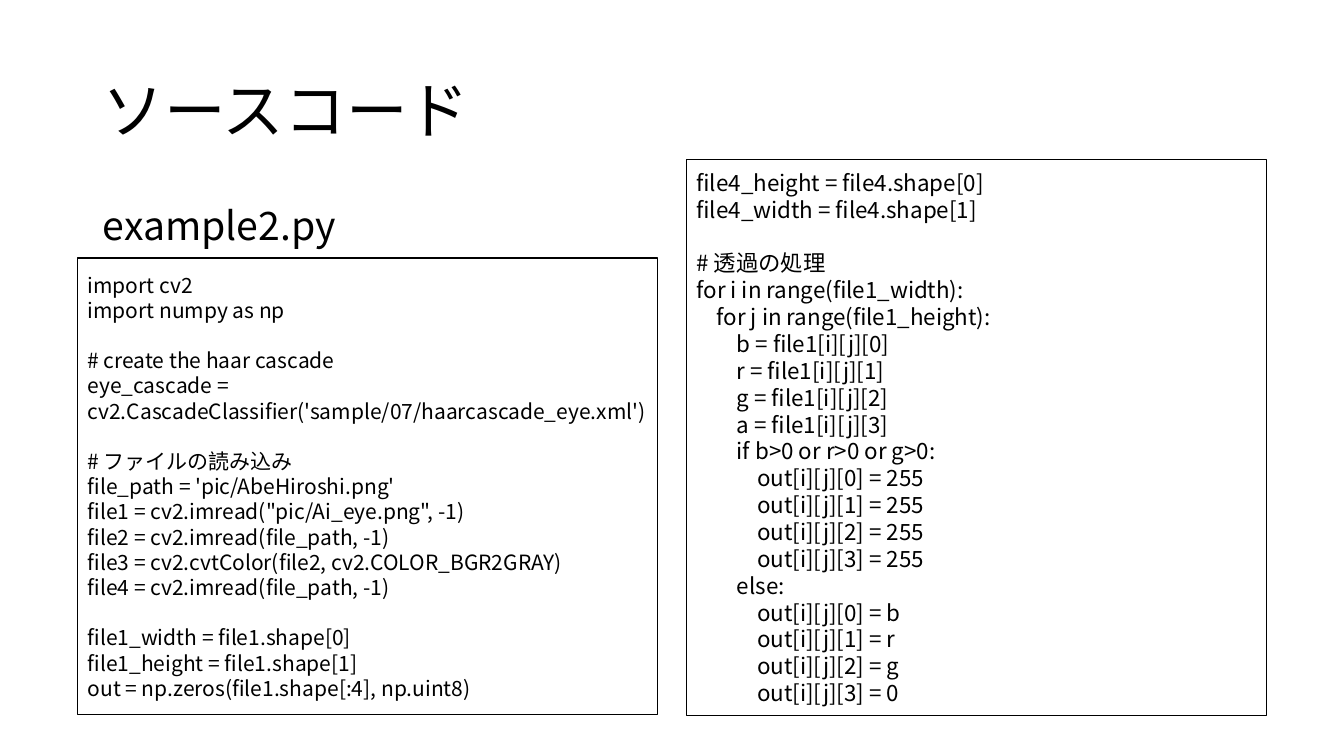
from pptx import Presentation, util as u
from pptx.dml.color import RGBColor
from pptx.enum import shapes, text
from pptx.oxml import ns

FONT = "Noto Sans CJK JP"
COLORS = {"ink": "000000", "paper": "FFFFFF"}
INDENT = 0.2

LOADING_CODE = [
    "import cv2",
    "import numpy as np",
    "",
    "# create the haar cascade",
    "eye_cascade = cv2.CascadeClassifier('sample/07/haarcascade_eye.xml')",
    "",
    "# ファイルの読み込み",
    "file_path = 'pic/AbeHiroshi.png'",
    'file1 = cv2.imread("pic/Ai_eye.png", -1)',
    "file2 = cv2.imread(file_path, -1)",
    "file3 = cv2.cvtColor(file2, cv2.COLOR_BGR2GRAY)",
    "file4 = cv2.imread(file_path, -1)",
    "",
    "file1_width = file1.shape[0]",
    "file1_height = file1.shape[1]",
    "out = np.zeros(file1.shape[:4], np.uint8)",
]
MASKING_CODE = [
    "file4_height = file4.shape[0]",
    "file4_width = file4.shape[1]",
    "",
    "# 透過の処理",
    "for i in range(file1_width):",
    "    for j in range(file1_height):",
    *[f"        {name} = file1[i][j][{channel}]" for channel, name in enumerate("brga")],
    "        if b>0 or r>0 or g>0:",
    *[f"            out[i][j][{channel}] = 255" for channel in range(4)],
    "        else:",
    *[f"            out[i][j][{channel}] = {value}" for channel, value in enumerate("brg0")],
]


def color(name):
    return RGBColor.from_string(COLORS[name])


def apply_format(target, values):
    for name, value in values.items():
        setattr(target, name, value)


def write_line(para, content, size, **spacing):
    apply_format(para, {"alignment": text.PP_ALIGN.LEFT, **spacing})
    span = para.add_run()
    span.text = content
    apply_format(span.font, {"name": FONT, "size": u.Pt(size)})
    span.font.color.rgb = color("ink")
    east_asian = span.font._element.makeelement(ns.qn("a:ea"), {"typeface": FONT})
    span.font._element.append(east_asian)


def add_heading(page, area, content, size, anchor):
    box = page.shapes.add_textbox(*map(u.Inches, area))
    apply_format(box.text_frame, {"word_wrap": True, "vertical_anchor": anchor})
    write_line(box.text_frame.paragraphs[0], content, size, line_spacing=0.9)


def add_code_box(page, area, lines, size):
    box = page.shapes.add_shape(shapes.MSO_SHAPE.RECTANGLE, *map(u.Inches, area))
    box.shadow.inherit = False
    box.fill.solid()
    box.fill.fore_color.rgb = color("paper")
    box.line.color.rgb = color("ink")
    box.line.width = u.Pt(1)
    frame = box.text_frame
    apply_format(frame, {
        "word_wrap": True,
        "vertical_anchor": text.MSO_ANCHOR.MIDDLE,
        "margin_right": u.Inches(0.05),
    })
    pitch = u.Pt(size * 1.2)
    gap = 0
    para = frame.paragraphs[0]
    for index, line in enumerate(lines):
        if not line:
            gap = pitch
            continue
        if index:
            para = frame.add_paragraph()
        content = line.lstrip()
        level = (len(line) - len(content)) // 4
        write_line(para, content, size, line_spacing=pitch, space_before=gap)
        para._p.get_or_add_pPr().set("marL", str(u.Inches(level * INDENT)))
        gap = 0


def main():
    deck = Presentation()
    apply_format(deck, {"slide_width": u.Inches(13.33), "slide_height": u.Inches(7.5)})
    page = deck.slides.add_slide(deck.slide_layouts[6])
    add_heading(page, (0.92, 0.4, 11.5, 1.45), "ソースコード", 44, text.MSO_ANCHOR.MIDDLE)
    add_heading(page, (0.92, 2, 11.5, 4.76), "example2.py", 28, text.MSO_ANCHOR.TOP)
    add_code_box(page, (0.77, 2.56, 5.75, 4.53), LOADING_CODE, 15)
    add_code_box(page, (6.81, 1.58, 5.75, 5.52), MASKING_CODE, 16)
    deck.save("out.pptx")


if __name__ == "__main__":
    main()
